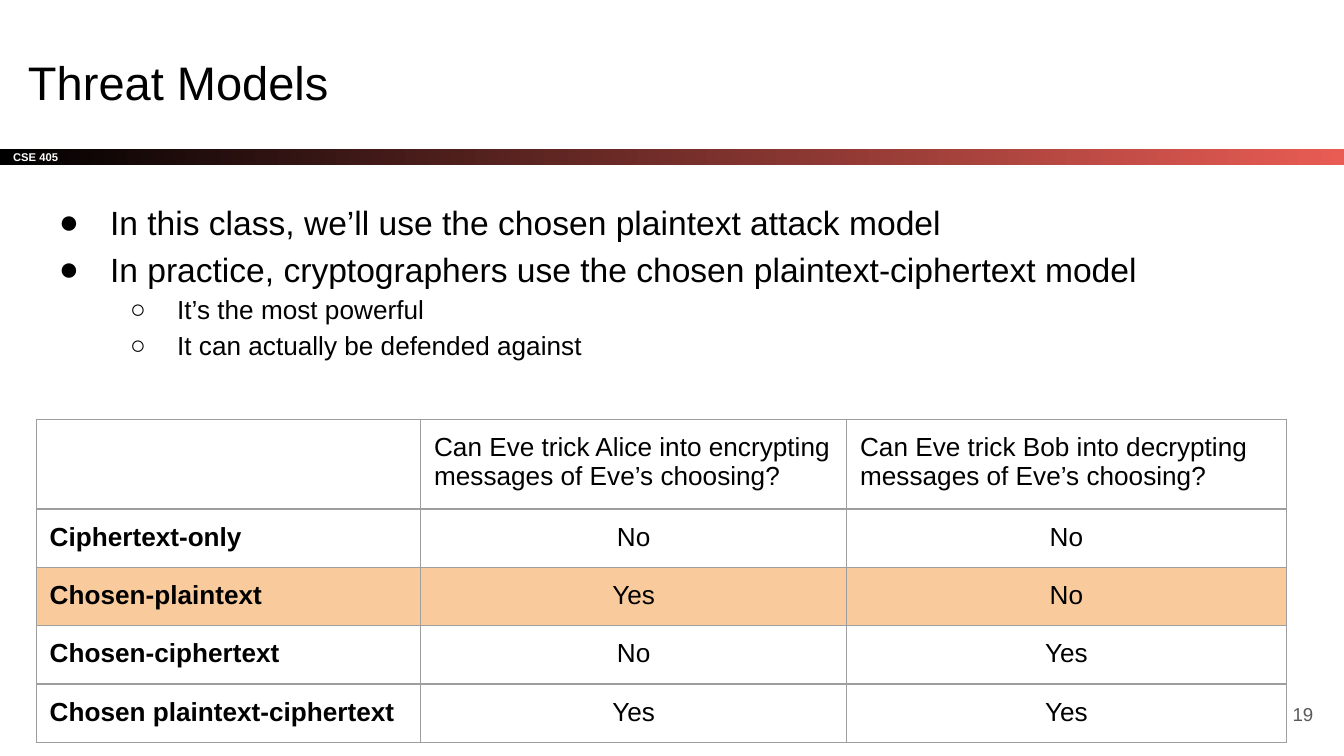
from dataclasses import dataclass

from lxml import etree
from pptx import Presentation
from pptx.dml.color import RGBColor
from pptx.enum.shapes import MSO_SHAPE
from pptx.enum.text import MSO_ANCHOR, PP_ALIGN
from pptx.oxml.ns import qn
from pptx.util import Inches, Pt

LEFT, CENTER, RIGHT = PP_ALIGN.LEFT, PP_ALIGN.CENTER, PP_ALIGN.RIGHT
TOP, MIDDLE = MSO_ANCHOR.TOP, MSO_ANCHOR.MIDDLE
RECTANGLE = MSO_SHAPE.RECTANGLE

FONT = "Arial"
BLACK, WHITE, RED = "000000", "FFFFFF", "E85C54"
GRAY, BORDER, HIGHLIGHT = "595959", "9E9E9E", "F9CB9C"
INSET = Inches(0.1)
PAGE_WIDTH = 10
PAGE_HEIGHT = PAGE_WIDTH * 9 / 16


@dataclass(frozen=True)
class Bullet:
    text: str
    level: int = 0


@dataclass(frozen=True)
class BulletStyle:
    symbol: str
    size: float
    indent: float
    hanging: float


@dataclass(frozen=True)
class Attack:
    name: str
    encrypts: str
    decrypts: str
    fill: str | None = None


BULLET_STYLES = [BulletStyle("●", 18, 0.5, 0.38), BulletStyle("○", 14, 1, 0.35)]
BULLETS = [
    Bullet("In this class, we’ll use the chosen plaintext attack model"),
    Bullet("In practice, cryptographers use the chosen plaintext-ciphertext model"),
    Bullet("It’s the most powerful", 1),
    Bullet("It can actually be defended against", 1),
]
HEADINGS = [
    "",
    "Can Eve trick Alice into encrypting messages of Eve’s choosing?",
    "Can Eve trick Bob into decrypting messages of Eve’s choosing?",
]
ATTACKS = [
    Attack("Ciphertext-only", "No", "No"),
    Attack("Chosen-plaintext", "Yes", "No", HIGHLIGHT),
    Attack("Chosen-ciphertext", "No", "Yes"),
    Attack("Chosen plaintext-ciphertext", "Yes", "Yes"),
]
COLUMN_WIDTHS = [2.86, 3.17, 3.27]
ROW_HEIGHT = 0.42


def color(value: str) -> RGBColor:
    return RGBColor.from_string(value)


def write(para, text: str, *, size: float, fill: str = BLACK,
          bold: bool = False, align=LEFT) -> None:
    para.alignment = align
    font = para.font
    if text:
        span = para.add_run()
        span.text = text
        font = span.font
    font.name, font.size, font.bold = FONT, Pt(size), bold
    font.color.rgb = color(fill)


def prepare_frame(frame, anchor=TOP) -> None:
    frame.word_wrap = True
    frame.vertical_anchor = anchor
    frame.margin_left = frame.margin_right = INSET
    frame.margin_top = frame.margin_bottom = INSET


def add_text_box(page, left: float, top: float, width: float, height: float,
                 anchor=TOP):
    box = page.shapes.add_textbox(
        Inches(left), Inches(top), Inches(width), Inches(height))
    prepare_frame(box.text_frame, anchor)
    return box.text_frame


def add_course_bar(page) -> None:
    bar = page.shapes.add_shape(
        RECTANGLE, 0, Inches(1.11), Inches(PAGE_WIDTH), Inches(0.12))
    bar.shadow.inherit = False
    bar.line.fill.background()
    bar.fill.gradient()
    bar.fill.gradient_angle = 0
    for stop, value in zip(bar.fill.gradient_stops, (BLACK, RED)):
        stop.color.rgb = color(value)
    prepare_frame(bar.text_frame, MIDDLE)
    write(bar.text_frame.paragraphs[0], "CSE 405", size=6, fill=WHITE, bold=True)


def add_bullets(page) -> None:
    frame = add_text_box(page, 0.22, 1.36, 9.32, 1.83)
    for index, bullet in enumerate(BULLETS):
        para = frame.add_paragraph() if index else frame.paragraphs[0]
        style = BULLET_STYLES[bullet.level]
        para.level = bullet.level
        para.line_spacing = 1.15
        properties = para._p.get_or_add_pPr()
        properties.set("marL", str(Inches(style.indent)))
        properties.set("indent", str(-Inches(style.hanging)))
        bullet_color = etree.SubElement(properties, qn("a:buClr"))
        etree.SubElement(bullet_color, qn("a:srgbClr"), val=BLACK)
        etree.SubElement(properties, qn("a:buFont"), typeface=FONT)
        etree.SubElement(properties, qn("a:buChar"), char=style.symbol)
        write(para, bullet.text, size=style.size)


def add_borders(cell) -> None:
    properties = cell._tc.get_or_add_tcPr()
    for side in ("lnL", "lnR", "lnT", "lnB"):
        line = etree.SubElement(properties, qn(f"a:{side}"), w=str(Pt(0.75)))
        solid = etree.SubElement(line, qn("a:solidFill"))
        etree.SubElement(solid, qn("a:srgbClr"), val=BORDER)


def fill_cell(cell, text: str, *, fill: str | None = None,
              bold: bool = False, align=LEFT) -> None:
    add_borders(cell)
    if fill:
        cell.fill.solid()
        cell.fill.fore_color.rgb = color(fill)
    else:
        cell.fill.background()
    cell.margin_left = cell.margin_right = INSET
    cell.margin_top = cell.margin_bottom = INSET
    write(cell.text_frame.paragraphs[0], text, size=14, bold=bold, align=align)


def add_attack_table(page) -> None:
    row_count = len(ATTACKS) + 1
    table = page.shapes.add_table(
        row_count, len(COLUMN_WIDTHS), Inches(0.27), Inches(3.12),
        Inches(sum(COLUMN_WIDTHS)), Inches(ROW_HEIGHT * row_count)).table
    table.first_row = table.horz_banding = False
    for column, width in zip(table.columns, COLUMN_WIDTHS):
        column.width = Inches(width)
    for index, heading in enumerate(HEADINGS):
        fill_cell(table.cell(0, index), heading)
    for index, attack in enumerate(ATTACKS, start=1):
        fill_cell(table.cell(index, 0), attack.name, fill=attack.fill, bold=True)
        for column, answer in enumerate((attack.encrypts, attack.decrypts), start=1):
            fill_cell(table.cell(index, column), answer,
                      fill=attack.fill, align=CENTER)


def main() -> None:
    deck = Presentation()
    deck.slide_width, deck.slide_height = Inches(PAGE_WIDTH), Inches(PAGE_HEIGHT)
    page = deck.slides.add_slide(deck.slide_layouts[6])
    add_course_bar(page)
    title = add_text_box(page, 0.11, 0.3, 9.32, 0.63)
    write(title.paragraphs[0], "Threat Models", size=25.2)
    add_bullets(page)
    number = add_text_box(page, 9.27, 5.1, 0.6, 0.43, MIDDLE)
    write(number.paragraphs[0], "19", size=10, fill=GRAY, align=RIGHT)
    add_attack_table(page)
    deck.save("out.pptx")


if __name__ == "__main__":
    main()
